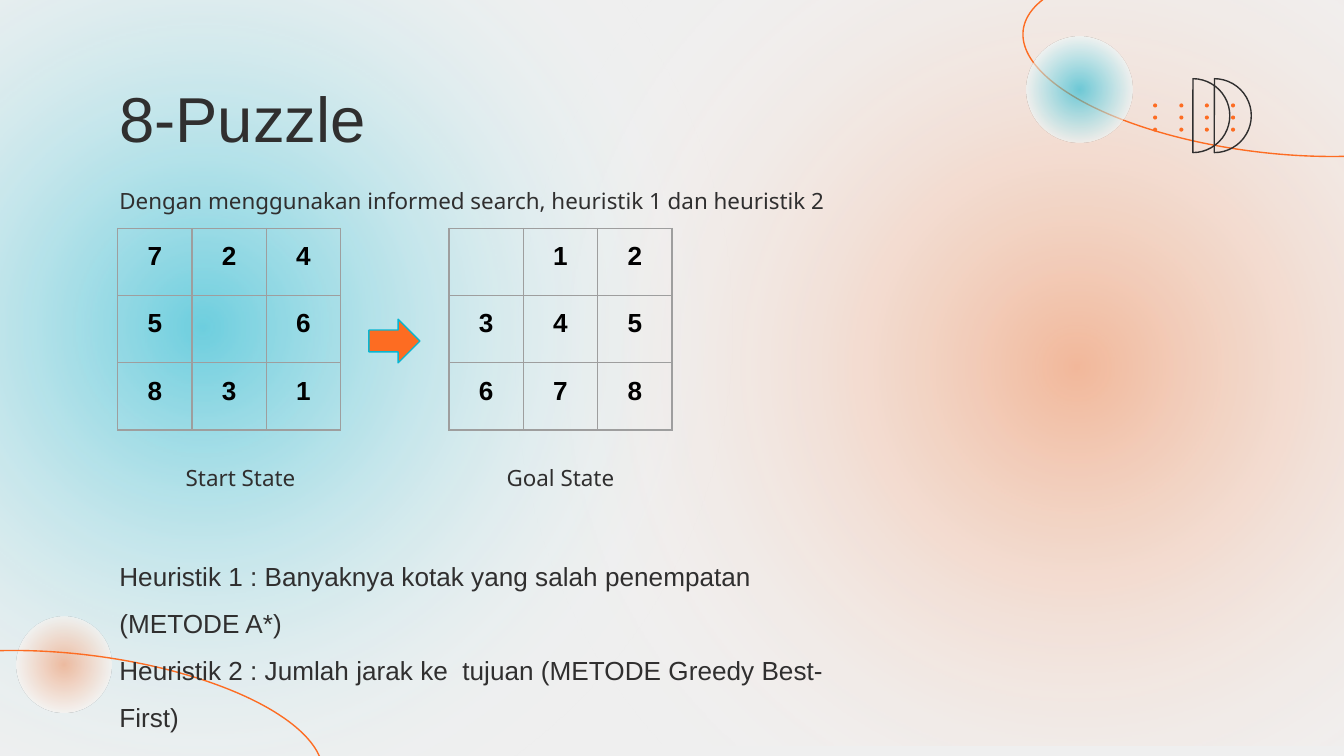
"""Build the 8-Puzzle slide."""
import dataclasses
import typing

import pptx
import pptx.dml.color
import pptx.enum.shapes
import pptx.enum.text
import pptx.oxml
import pptx.oxml.ns
import pptx.util

PX = 4572
EDGE = 20 * PX
INK, FLAME, TEAL, PEACH = "302F2F", "FD6C22", "08B6D2", "F59463"
KIND = pptx.enum.shapes.MSO_SHAPE
ALIGN = pptx.enum.text.PP_ALIGN
Box = tuple[int, int, int, int]


@dataclasses.dataclass
class Form:
    """A preset shape and its look."""
    kind: typing.Any
    box: Box
    fill: str | None = None
    line: str | None = None
    turn: float = 0
    adjust: tuple[float, ...] = ()
    glow: tuple[tuple[int, str, int], ...] = ()


@dataclasses.dataclass
class Note:
    """A text box and its format."""
    box: Box
    lines: tuple[str, ...]
    face: str
    size: int
    space: float = 1.0
    align: typing.Any = ALIGN.LEFT


@dataclasses.dataclass
class Board:
    """A three by three puzzle board; a space marks the gap."""
    left: int
    rows: tuple[str, str, str]


def hue(code: str) -> pptx.dml.color.RGBColor:
    """Turn a hex string into a colour."""
    return pptx.dml.color.RGBColor.from_string(code)


def scale(box: Box) -> list[int]:
    """Turn px into EMU."""
    return [side * PX for side in box]


def style(item: typing.Any, values: dict[str, typing.Any]) -> None:
    """Set each format value on an item."""
    for name, value in values.items():
        setattr(item, name, value)


def write(part: typing.Any, text: str, face: str, size: int, code: str, bold: bool = False) -> None:
    """Add a styled run to a paragraph."""
    run = part.add_run()
    run.text = text
    style(run.font, {"name": face, "size": pptx.util.Pt(size), "bold": bold})
    run.font.color.rgb = hue(code)


def shade(shape: typing.Any, glow: tuple[tuple[int, str, int], ...]) -> None:
    """Give a shape a round gradient with transparency."""
    stops = "".join(
        f'<a:gs pos="{spot * 1000}"><a:srgbClr val="{code}">'
        f'<a:alpha val="{alpha * 1000}"/></a:srgbClr></a:gs>'
        for spot, code, alpha in glow)
    grad = pptx.oxml.parse_xml(
        f'<a:gradFill {pptx.oxml.ns.nsdecls("a")} rotWithShape="1"><a:gsLst>{stops}</a:gsLst>'
        '<a:path path="circle"><a:fillToRect l="50000" t="50000" r="50000" b="50000"/></a:path>'
        '</a:gradFill>')
    frame = shape.element.spPr
    frame.replace(frame.find(pptx.oxml.ns.qn("a:noFill")), grad)


def draw(slide: typing.Any, form: Form) -> None:
    """Draw a preset shape."""
    shape = slide.shapes.add_shape(form.kind, *scale(form.box))
    shape.shadow.inherit = False
    shape.rotation = form.turn
    for index, value in enumerate(form.adjust):
        shape.adjustments[index] = value
    shape.fill.background()
    if form.glow:
        shade(shape, form.glow)
    elif form.fill:
        shape.fill.solid()
        shape.fill.fore_color.rgb = hue(form.fill)
    if form.line:
        shape.line.color.rgb = hue(form.line)
        shape.line.width = pptx.util.Pt(0.75)
    else:
        shape.line.fill.background()


def place(slide: typing.Any, note: Note) -> None:
    """Place a text box."""
    frame = slide.shapes.add_textbox(*scale(note.box)).text_frame
    style(frame, {"word_wrap": True, "margin_left": EDGE, "margin_right": EDGE,
                  "margin_top": EDGE, "margin_bottom": EDGE})
    for index, line in enumerate(note.lines):
        part = frame.add_paragraph() if index else frame.paragraphs[0]
        style(part, {"alignment": note.align, "line_spacing": note.space})
        write(part, line, note.face, note.size, INK)


def rule(cell: typing.Any) -> None:
    """Rule all four sides of a cell."""
    for side in "LRTB":
        cell._tc.get_or_add_tcPr().append(pptx.oxml.parse_xml(
            f'<a:ln{side} {pptx.oxml.ns.nsdecls("a")} w="9525"><a:solidFill>'
            f'<a:srgbClr val="9E9E9E"/></a:solidFill></a:ln{side}>'))
    cell.fill.background()


def lay(slide: typing.Any, board: Board) -> None:
    """Lay out a puzzle board as a table."""
    table = slide.shapes.add_table(3, 3, *scale((board.left, 340, 332, 300))).table
    style(table, {"first_row": False, "horz_banding": False})
    for row, marks in enumerate(board.rows):
        for col, mark in enumerate(marks):
            cell = table.cell(row, col)
            rule(cell)
            if mark != " ":
                style(cell, {"margin_top": EDGE, "margin_bottom": EDGE})
                part = cell.text_frame.paragraphs[0]
                part.alignment = ALIGN.CENTER
                write(part, mark, "Arial", 14, "000000", True)


BACK = (
    Form(KIND.RECTANGLE, (674, -18, 1856, 1128),
         glow=((0, PEACH, 60), (77, "FFFFFF", 0), (100, "FFFFFF", 0))),
    Form(KIND.OVAL, (-542, -320, 1686, 1612),
         glow=((0, TEAL, 56), (68, "FFFFFF", 0), (100, "FFFFFF", 0))),
    Form(KIND.OVAL, (24, 918, 142, 142),
         glow=((0, PEACH, 56), (77, "FFFFFF", 56), (100, "FFFFFF", 56))),
    Form(KIND.OVAL, (-22, 745, 276, 734), line=FLAME, turn=276.9),
)
NOTES = (
    Note((158, 98, 1686, 126), ("8-Puzzle",), "Arial", 34),
    Note((158, 252, 1686, 88), ("Dengan menggunakan informed search, heuristik 1 dan heuristik 2",),
         "Noto Sans", 12, 1.15),
    Note((210, 671, 296, 88), ("Start State",), "Noto Sans", 12, align=ALIGN.CENTER),
    Note((686, 671, 296, 88), ("Goal State",), "Noto Sans", 12, align=ALIGN.CENTER),
    Note((158, 790, 1092, 182),
         ("Heuristik 1 : Banyaknya kotak yang salah penempatan (METODE A*)",
          "Heuristik 2 : Jumlah jarak ke  tujuan (METODE Greedy Best-First)"), "Arial", 14, 1.5),
)
FRONT = (
    Form(KIND.OVAL, (1749, -278, 276, 734), line=FLAME, turn=276.9),
    Form(KIND.OVAL, (1527, 54, 158, 158),
         glow=((0, TEAL, 56), (76, "FFFFFF", 56), (100, "FFFFFF", 56))),
    *(Form(KIND.PIE, (left, 117, 110, 110), line=INK, turn=180, adjust=(54.137, 162))
      for left in (1720, 1752)),
    *(Form(KIND.OVAL, (1716 + round(38.7 * col), 154 + 18 * row, 6, 6), fill=FLAME)
      for row in range(3) for col in range(4)),
    Form(KIND.RIGHT_ARROW, (549, 475, 76, 65), fill=FLAME, line=TEAL, adjust=(0.5, 0.5)),
)
BOARDS = (Board(175, ("724", "5 6", "831")), Board(668, (" 12", "345", "678")))


def main() -> None:
    """Build and save the slide."""
    deck = pptx.Presentation()
    style(deck, {"slide_width": 2000 * PX, "slide_height": 1125 * PX})
    slide = deck.slides.add_slide(deck.slide_layouts[6])
    slide.background.fill.solid()
    slide.background.fill.fore_color.rgb = hue("EFEFEF")
    for task, items in ((draw, BACK), (place, NOTES), (draw, FRONT), (lay, BOARDS)):
        for item in items:
            task(slide, item)
    deck.save("out.pptx")


if __name__ == "__main__":
    main()
